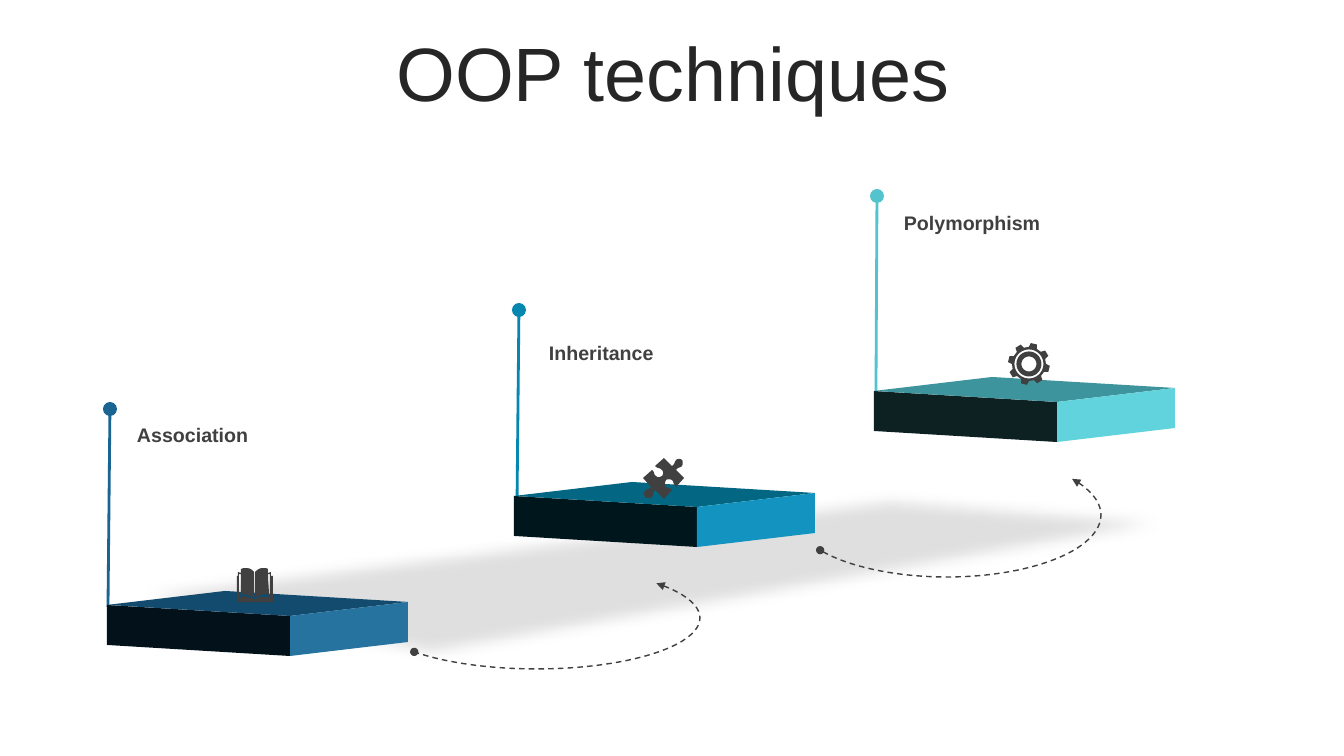
"""Build the OOP techniques slide with three rising steps."""
import math
from dataclasses import dataclass

from lxml import etree
from pptx import Presentation
from pptx import util as u
from pptx.dml import color
from pptx.enum import dml, shapes, text
from pptx.oxml import ns

EMU_PER_PX = 914400 / 100.8


@dataclass(frozen=True)
class Theme:
    font: str = "Arial"
    title_size: int = 54
    label_size: int = 14
    title: str = "262626"
    ink: str = "404040"
    shadow: str = "808080"
    pins: tuple = ("196491", "0587AF", "53C3CD")
    faces: tuple = (
        ("03111A", "124B6D", "2673A0"),
        ("00161D", "036784", "1394C0"),
        ("0D2022", "3E949C", "60D3DC"),
    )


def px(n):
    return u.Emu(round(n * EMU_PER_PX))


def rgb(code):
    return color.RGBColor.from_string(code)


def sub(parent, tag, **attrs):
    return etree.SubElement(parent, ns.qn(tag), **attrs)


def curve(steps, origin):
    """Turn points (2 numbers) and cubic curves (6 numbers) into a polyline."""
    pts = []
    for step in steps:
        if len(step) == 2:
            pts.append(step)
            continue
        (x0, y0), (x1, y1, x2, y2, x3, y3) = pts[-1], step
        for i in range(1, 7):
            t = i / 6
            a, b, c, d = (1 - t) ** 3, 3 * t * (1 - t) ** 2, 3 * t * t * (1 - t), t ** 3
            pts.append((a * x0 + b * x1 + c * x2 + d * x3,
                        a * y0 + b * y1 + c * y2 + d * y3))
    return [(origin[0] + x, origin[1] + y) for x, y in pts]


def polar(center, radius, degrees):
    """Find a point by its clockwise angle from the top."""
    a = math.radians(degrees)
    return center[0] + radius * math.sin(a), center[1] - radius * math.cos(a)


class Deck:
    """Hold the theme and the current slide."""

    def __init__(self, theme):
        self.theme = theme
        self.prs = Presentation()
        self.prs.slide_width, self.prs.slide_height = px(1344), px(756)
        self.s = self.prs.slides.add_slide(self.prs.slide_layouts[5])

    def set_text(self, sp, words, size, ink, bold=False):
        tf = sp.text_frame
        tf.word_wrap = True
        p = tf.paragraphs[0]
        p.text = words
        p.font.name, p.font.size, p.font.bold = self.theme.font, u.Pt(size), bold
        p.font.color.rgb = rgb(ink)
        return tf

    def title(self, words, x, y, w, h):
        sp = self.s.shapes.title
        sp.left, sp.top, sp.width, sp.height = map(px, (x, y, w, h))
        tf = self.set_text(sp, words, self.theme.title_size, self.theme.title)
        tf.auto_size = text.MSO_AUTO_SIZE.NONE
        tf.vertical_anchor = text.MSO_ANCHOR.MIDDLE
        p = tf.paragraphs[0]
        p.alignment, p.line_spacing = text.PP_ALIGN.CENTER, 0.9

    def label(self, words, x, y):
        sp = self.s.shapes.add_textbox(*map(px, (x, y, 221, 34)))
        tf = self.set_text(sp, words, self.theme.label_size, self.theme.ink, True)
        tf.auto_size = text.MSO_AUTO_SIZE.SHAPE_TO_FIT_TEXT

    def pin(self, start, end, ink):
        sp = self.s.shapes.add_connector(
            shapes.MSO_CONNECTOR.STRAIGHT, *map(px, start + end))
        sp.line.color.rgb, sp.line.width = rgb(ink), u.Pt(2)
        spPr = sp._element.spPr
        sub(spPr.find(ns.qn("a:ln")), "a:tailEnd", type="oval", w="lg", len="lg")
        sub(spPr, "a:effectLst")

    def arc(self, x, y, w, h):
        sp = self.s.shapes.add_shape(shapes.MSO_SHAPE.ARC, *map(px, (x, y, w, h)))
        sp.adjustments[0], sp.adjustments[1] = 206.33, 98.7
        sp.shadow.inherit = False
        sp.fill.background()
        sp.line.color.rgb, sp.line.width = rgb(self.theme.ink), u.Pt(1)
        sp.line.dash_style = dml.MSO_LINE.DASH
        ln = sp._element.spPr.find(ns.qn("a:ln"))
        sub(ln, "a:headEnd", type="triangle")
        sub(ln, "a:tailEnd", type="oval")

    def outline(self, contours, fill):
        scaled = [[(px(x), px(y)) for x, y in c] for c in contours]
        builder = self.s.shapes.build_freeform(*scaled[0][0], scale=1.0)
        for i, pts in enumerate(scaled):
            if i:
                builder.move_to(*pts[0])
            builder.add_line_segments(pts[1:], close=True)
        sp = builder.convert_to_shape()
        sp.shadow.inherit = False
        sp.fill.solid()
        sp.fill.fore_color.rgb = rgb(fill)
        sp.line.fill.background()
        return sp

    def floor_shadow(self, pts):
        sp = self.outline([pts], self.theme.shadow)
        spPr = sp._element.spPr
        sub(spPr.find(".//" + ns.qn("a:srgbClr")), "a:alpha", val="25000")
        sub(spPr.find(ns.qn("a:effectLst")), "a:softEdge", rad="127000")

    def step(self, corner, fills):
        left, back, right, front = (0, 0), (118, -14), (301, -3), (183, 11)
        low_left, low_right, low_front = ((x, y + 40) for x, y in (left, right, front))
        faces = ((left, front, low_front, low_left), (left, back, right, front),
                 (front, right, low_right, low_front))
        for face, fill in zip(faces, fills):
            self.outline([curve(face, corner)], fill)

    def gear(self, center):
        teeth = [polar(center, r, 13.7 + 45 * i + turn) for i in range(8)
                 for r, turn in ((17, -14), (21, -8.5), (21, 8.5), (17, 14))]
        rings = [[polar(center, r, a) for a in range(0, 360, 10)] for r in (14.5, 12.5, 7.5)]
        self.outline([teeth] + rings, self.theme.ink)


PUZZLE = [
    (39, 2), (40, 3, 40, 6, 39, 8), (37, 10, 35, 9, 33, 12), (41, 20), (33, 29),
    (30, 26, 31, 24, 29, 22), (27, 21, 24, 21, 23, 22), (22, 24, 21, 27, 23, 29),
    (26, 31, 27, 29, 29, 32), (21, 41), (12, 32), (9, 35, 11, 36, 9, 39),
    (6, 41, 4, 40, 2, 39), (1, 37, 0, 35, 2, 33), (4, 30, 6, 32, 8, 29), (0, 20),
    (9, 12), (12, 14, 10, 16, 13, 18), (15, 20, 17, 19, 19, 18),
    (20, 17, 21, 14, 19, 12), (16, 9, 15, 11, 12, 8), (21, 0), (29, 8),
    (32, 6, 31, 5, 33, 2), (35, 0, 38, 1, 39, 2),
]
BOOK = [
    (17, 31), (18, 31), (24, 29, 27, 28, 33, 30), (33, 6), (31, 6),
    (31, 13, 32, 20, 32, 27), (27, 25, 23, 27, 18, 30), (18, 4),
    (21, 1, 23, 0, 26, 0), (28, 0, 30, 0, 31, 1), (31, 5), (34, 4), (34, 8),
    (36, 8), (36, 34), (0, 34), (0, 8), (1, 8), (1, 4), (4, 5), (4, 1),
    (6, 0, 8, 0, 9, 0), (12, 0, 15, 1, 17, 4), (17, 30), (13, 27, 8, 25, 4, 27),
    (4, 6), (2, 6), (2, 30), (8, 27, 12, 29, 17, 31),
]
FLOOR = [(62, 592), (408, 660), (471, 672, 435, 664, 437, 663), (1259, 518), (886, 488)]
STEPS = [
    ("Association", (127, 418), (107, 605), (108, 607), (110, 409)),
    ("Inheritance", (539, 336), (514, 496), (517, 508), (519, 310)),
    ("Polymorphism", (894, 206), (874, 391), (876, 394), (877, 196)),
]


def main():
    theme = Theme()
    deck = Deck(theme)
    deck.title("OOP techniques", 35, 37, 1276, 80)
    for (_, _, _, foot, head), ink in zip(STEPS, theme.pins):
        deck.pin(foot, head, ink)
    deck.floor_shadow(curve(FLOOR, (0, 0)))
    for (words, spot, corner, _, _), fills in zip(STEPS, theme.faces):
        deck.step(corner, fills)
        deck.label(words, *spot)
    deck.arc(373, 567, 327, 102)
    deck.arc(793, 453, 308, 124)
    deck.outline([curve(PUZZLE, (643, 458))], theme.ink)
    deck.outline([curve(BOOK, (237, 568))], theme.ink)
    deck.gear((1029, 364))
    deck.prs.save("out.pptx")


if __name__ == "__main__":
    main()
